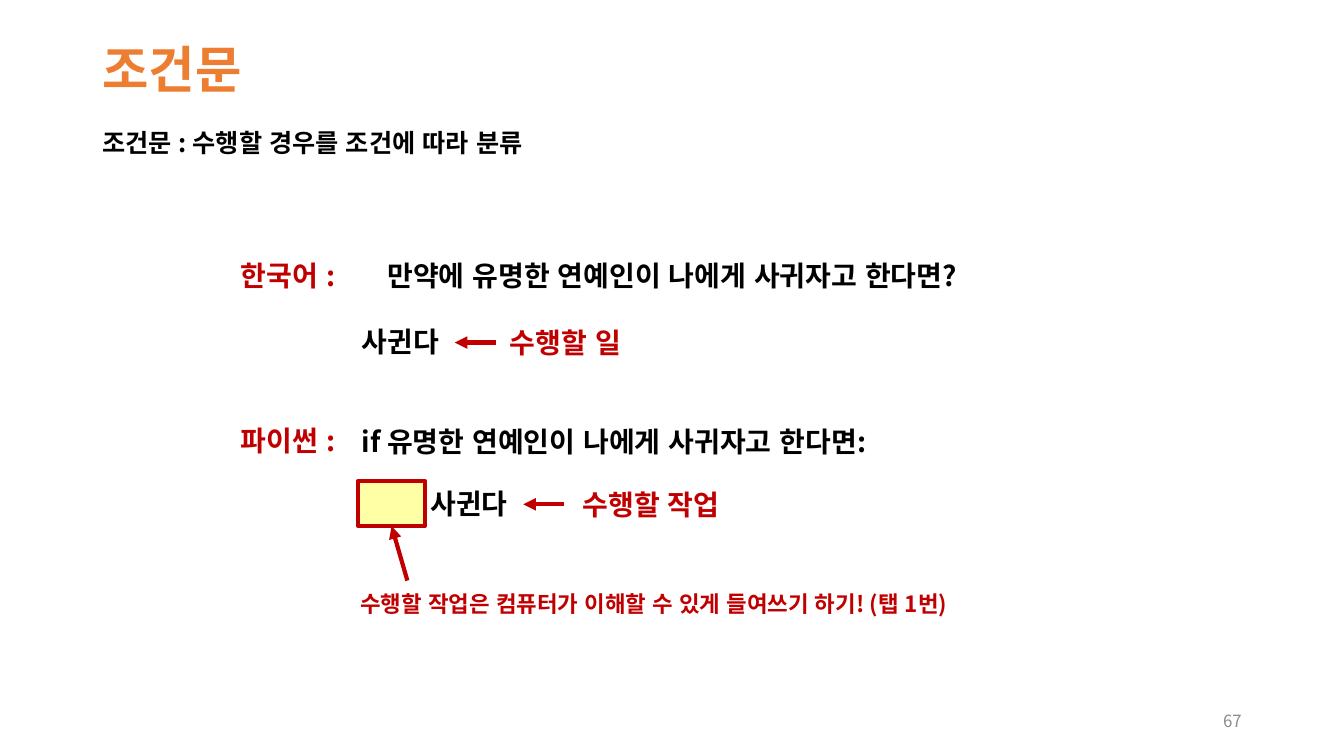
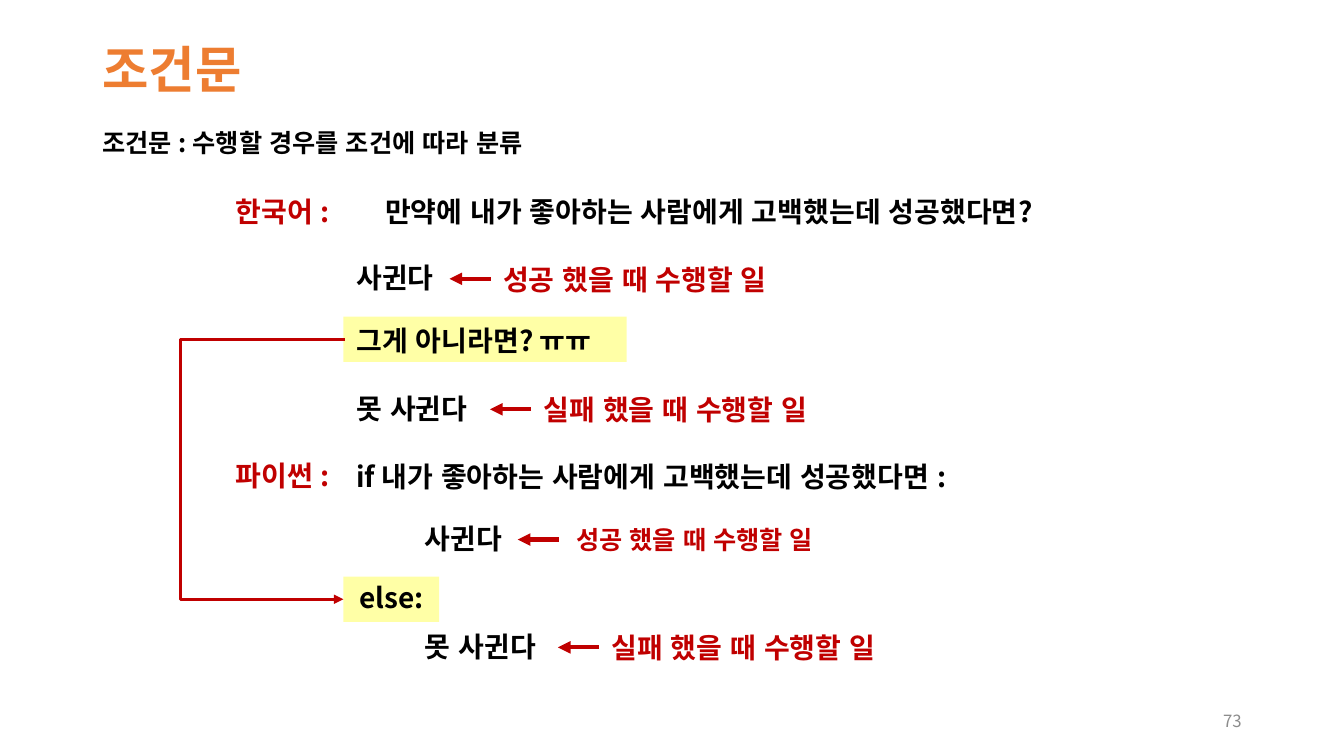
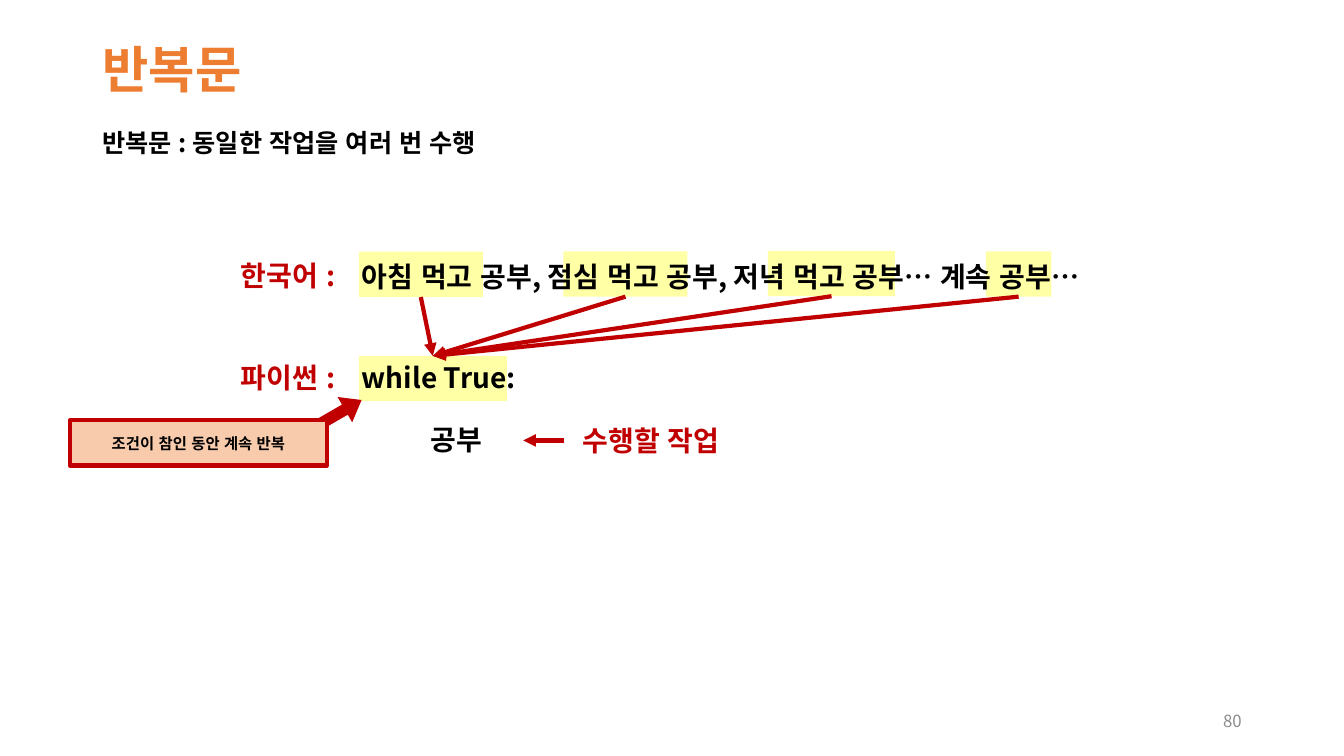
from lxml import etree
from pptx import Presentation
from pptx.dml.color import RGBColor
from pptx.enum.lang import MSO_LANGUAGE_ID
from pptx.enum.shapes import MSO_CONNECTOR, MSO_SHAPE
from pptx.enum.text import MSO_ANCHOR, PP_ALIGN
from pptx.oxml.ns import qn
from pptx.util import Pt

KOREAN = MSO_LANGUAGE_ID.KOREAN
STRAIGHT, ELBOW = MSO_CONNECTOR.STRAIGHT, MSO_CONNECTOR.ELBOW
RECTANGLE, RIGHT_ARROW = MSO_SHAPE.RECTANGLE, MSO_SHAPE.RIGHT_ARROW
ROUNDED = MSO_SHAPE.ROUNDED_RECTANGLE
TOP, MIDDLE = MSO_ANCHOR.TOP, MSO_ANCHOR.MIDDLE
LEFT, CENTER, RIGHT = PP_ALIGN.LEFT, PP_ALIGN.CENTER, PP_ALIGN.RIGHT
TOP_SIDE, LEFT_SIDE, BOTTOM_SIDE = 0, 1, 2

FONT = "Noto Sans CJK KR"
ORANGE = RGBColor(0xED, 0x7D, 0x31)
RED = RGBColor(0xC0, 0x00, 0x00)
BLACK = RGBColor(0x00, 0x00, 0x00)
GRAY = RGBColor(0x8C, 0x8C, 0x8C)
YELLOW = RGBColor(0xFF, 0xFF, 0x00)
PEACH = RGBColor(0xF8, 0xCB, 0xAD)

ROW_HEIGHT = 45.4
NOTE_HEIGHT = 38.9
BAND_HEIGHT = 32.4
LABEL_WIDTH = 105
LABEL_OFFSET = -95.8
ACTION_WIDTH = 170.6
INDENT = 49
ARROW_LENGTH = 29.4
NOTE_DROP = 0.8

CONDITION = "조건문 : 수행할 경우를 조건에 따라 분류"
SUCCESS = "성공 했을 때 수행할 일"
FAILURE = "실패 했을 때 수행할 일"

SLIDES = [
    {
        "title": "조건문", "summary": CONDITION, "number": "67", "left": 249.1,
        "labels": [("한국어 :", 196.6), ("파이썬 :", 314.8)],
        "lines": [
            ("만약에 유명한 연예인이 나에게 사귀자고 한다면?", -22.3, 196.9, 507, CENTER),
            ("if 유명한 연예인이 나에게 사귀자고 한다면:", 0, 315, 507, LEFT),
        ],
        "actions": [
            ("사귄다", 0, 243.9, 105.1, "수행할 일", 80.7, 148.3, CENTER),
            ("사귄다", INDENT, 359.4, 154.1, "수행할 작업", 129.6, 172.8, CENTER),
        ],
        "bands": [],
    },
    {
        "title": "조건문", "summary": CONDITION, "number": "73", "left": 245.3,
        "labels": [("한국어 :", 151.2), ("파이썬 :", 339.8)],
        "lines": [
            ("만약에 내가 좋아하는 사람에게 고백했는데 성공했다면?", -22.3, 150.8, 566.6, CENTER),
            ("그게 아니라면? ㅠㅠ", 0, 243, 202.3, LEFT),
            ("if 내가 좋아하는 사람에게 고백했는데 성공했다면 :", 0, 340.2, 507, LEFT),
            ("else:", 2.2, 426.6, 200, LEFT),
        ],
        "actions": [
            ("사귄다", 0, 198.4, 105.2, SUCCESS, 105.2, 260, LEFT),
            ("못 사귄다", 0, 291.6, 134.1, FAILURE, 134.1, 245.5, LEFT),
            ("사귄다", INDENT, 384.6, 153.9, None, 0, 0, LEFT),
            ("못 사귄다", INDENT, 461.6, 182.6, FAILURE, 182.6, 245.5, LEFT),
        ],
        "bands": [(245.3, 226.1, 202.3), (245.3, 411.8, 68.4)],
    },
    {
        "title": "반복문", "summary": "반복문 : 동일한 작업을 여러 번 수행",
        "number": "80", "left": 249.1,
        "labels": [("한국어 :", 196.6), ("파이썬 :", 269.3)],
        "lines": [
            ("아침 먹고 공부, 점심 먹고 공부, 저녁 먹고 공부… 계속 공부…", 0, 197.6, 605.5, LEFT),
            ("while True:", 0, 269.6, 507, LEFT),
        ],
        "actions": [
            ("공부", INDENT, 313.8, 154.1, "수행할 작업", 129.6, 172.8, CENTER),
        ],
        "bands": [(256.3, 254.2, 105.8), (256.3, 179.8, 88.6), (402.5, 179.5, 88.6),
                  (548.6, 179.2, 90.7), (704.2, 179.5, 46.8)],
    },
]


def write(shape, text, size=20, color=BLACK, bold=True, align=LEFT,
          anchor=MIDDLE, spacing=None, wrap=True):
    frame = shape.text_frame
    frame.word_wrap = wrap
    frame.vertical_anchor = anchor
    para = frame.paragraphs[0]
    para.alignment = align
    para.line_spacing = spacing
    span = para.add_run()
    span.text = text
    font = span.font
    font.name, font.size, font.bold = FONT, Pt(size), bold
    font.color.rgb = color
    font.language_id = KOREAN
    latin = span._r.get_or_add_rPr().find(qn("a:latin"))
    latin.addnext(etree.Element(qn("a:ea"), typeface=FONT))


def add_text(page, text, left, top, width, height, **style):
    box = page.shapes.add_textbox(Pt(left), Pt(top), Pt(width), Pt(height))
    write(box, text, **style)


def add_block(page, left, top, width, fill=None, height=BAND_HEIGHT, kind=RECTANGLE,
              opacity=None, outlined=False):
    block = page.shapes.add_shape(kind, Pt(left), Pt(top), Pt(width), Pt(height))
    block.shadow.inherit = False
    if fill is None:
        block.fill.background()
    else:
        block.fill.solid()
        block.fill.fore_color.rgb = fill
    if opacity:
        color = block.fill._xPr.find(qn("a:solidFill"))[0]
        etree.SubElement(color, qn("a:alpha"), val=str(opacity * 1000))
    if outlined:
        block.line.color.rgb = RED
        block.line.width = Pt(3)
    else:
        block.line.fill.background()
    return block


def add_row(page, text, left, middle, width, height=ROW_HEIGHT, **style):
    row = add_block(page, left, middle - height / 2, width, height=height, kind=ROUNDED)
    write(row, text, **style)
    return row


def add_arrow(page, start, end, kind=STRAIGHT, weight=3):
    arrow = page.shapes.add_connector(kind, *(Pt(value) for value in start + end))
    arrow.line.color.rgb = RED
    arrow.line.width = Pt(weight)
    etree.SubElement(arrow.line._get_or_add_ln(), qn("a:tailEnd"), type="triangle")
    etree.SubElement(arrow._element.spPr, qn("a:effectLst"))
    return arrow


def add_action(page, left, text, offset, middle, arrow_offset,
               note, note_offset, note_width, align):
    add_row(page, text, left + offset, middle, ACTION_WIDTH)
    start, height = left + arrow_offset, middle + NOTE_DROP
    arrow = add_arrow(page, (start, height), (start - ARROW_LENGTH, height))
    if note:
        note_box = add_row(page, note, left + note_offset, height, note_width,
                           height=NOTE_HEIGHT, color=RED, align=align)
        if note_offset == arrow_offset:
            arrow.begin_connect(note_box, LEFT_SIDE)


def add_page(deck, content):
    page = deck.slides.add_slide(deck.slide_layouts[5])
    title = page.shapes.title
    title.left, title.top, title.width, title.height = Pt(66), Pt(28.5), Pt(828), Pt(48)
    write(title, content["title"], size=36, color=ORANGE, anchor=TOP, spacing=0.9)
    bands = [add_block(page, *band, YELLOW, opacity=35) for band in content["bands"]]
    add_text(page, content["summary"], 66, 87.5, 828, 399.6, size=18, anchor=TOP)
    add_text(page, content["number"], 678, 500.5, 216, 28.8, size=12, color=GRAY,
             bold=False, align=RIGHT)
    left = content["left"]
    for text, offset, middle, width, align in content["lines"]:
        add_row(page, text, left + offset, middle, width, align=align)
    for text, middle in content["labels"]:
        add_row(page, text, left + LABEL_OFFSET, middle, LABEL_WIDTH,
                height=NOTE_HEIGHT, color=RED, align=CENTER)
    for action in content["actions"]:
        add_action(page, left, *action)
    return page, bands


def add_indent_hint(page):
    tab_box = add_block(page, 256, 343.4, 47.5, YELLOW, opacity=35, outlined=True)
    add_row(page, "수행할 작업은 컴퓨터가 이해할 수 있게 들여쓰기 하기! (탭 1번)",
            248.4, 431.3, 646, height=NOTE_HEIGHT, size=16, color=RED)
    arrow = add_arrow(page, (291, 414.7), (280, 375.8))
    arrow.end_connect(tab_box, BOTTOM_SIDE)


def add_else_link(page):
    add_text(page, SUCCESS, 404.6, 370.8, 203.8, 28.8, size=18, color=RED,
             anchor=TOP, wrap=False)
    link = add_arrow(page, (246.3, 242.3), (245.3, 428), kind=ELBOW, weight=2.25)
    guides = link._element.spPr.find(qn("a:prstGeom")).find(qn("a:avLst"))
    etree.SubElement(guides, qn("a:gd"), name="adj1", fmla="val 11800000")


def add_loop_links(page, bands):
    loop, *repeats = bands
    for repeat in repeats:
        arrow = add_arrow(page, (0, 0), (1, 1))
        arrow.begin_connect(repeat, BOTTOM_SIDE)
        arrow.end_connect(loop, TOP_SIDE)
    pointer = add_block(page, 226.8, 283.7, 33.8, RED, height=20.9, kind=RIGHT_ARROW)
    pointer.rotation = 330
    pointer.adjustments[0], pointer.adjustments[1] = 0.4, 0.66
    callout = add_block(page, 50, 300.2, 183.6, PEACH, outlined=True)
    write(callout, "조건이 참인 동안 계속 반복", size=11, align=CENTER)


def main():
    deck = Presentation()
    deck.slide_width, deck.slide_height = Pt(960), Pt(540)
    pages = [add_page(deck, content) for content in SLIDES]
    (if_page, _), (else_page, _), (loop_page, loop_bands) = pages
    add_indent_hint(if_page)
    add_else_link(else_page)
    add_loop_links(loop_page, loop_bands)
    deck.save("out.pptx")


if __name__ == "__main__":
    main()
